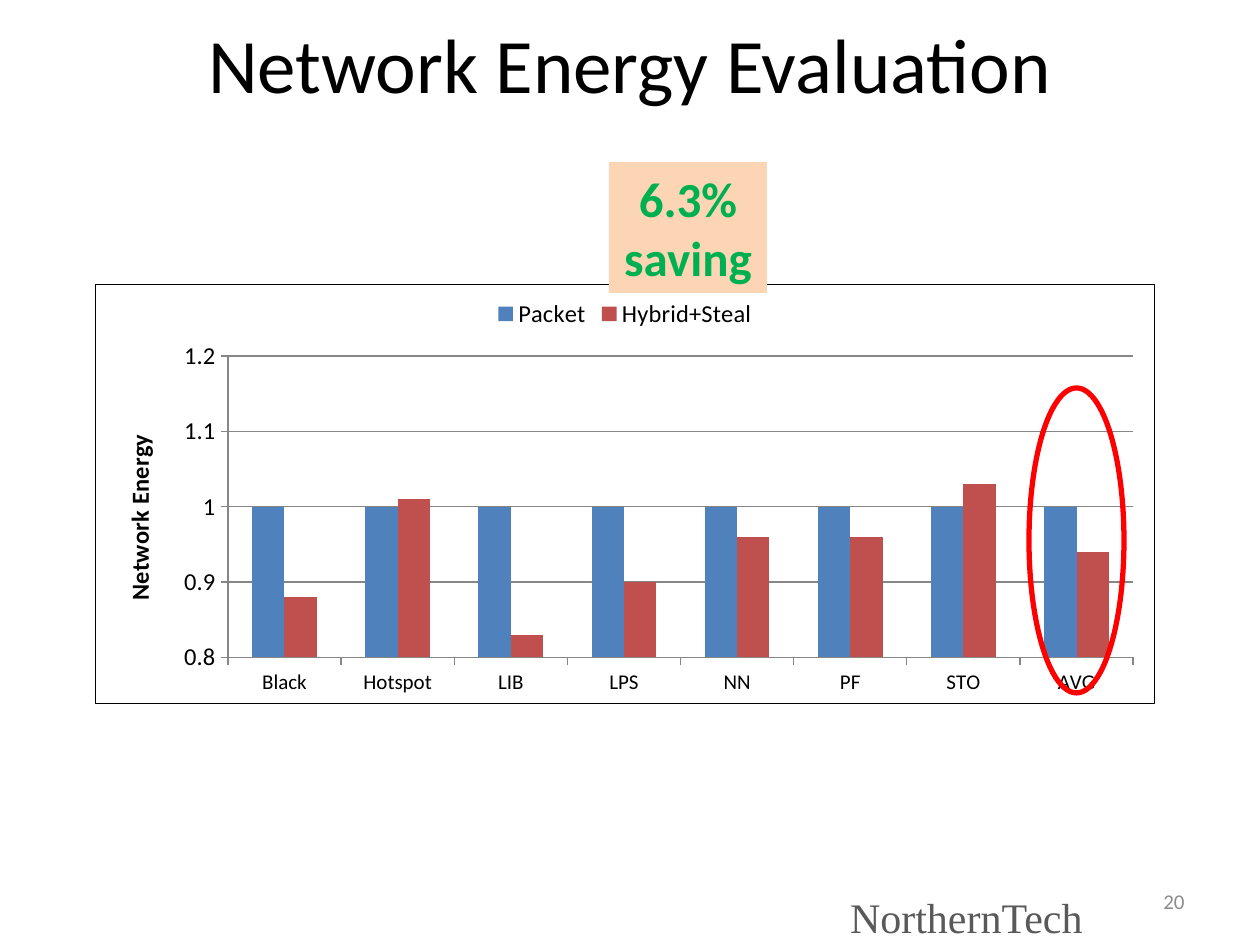
from typing import NamedTuple

from lxml import etree
from pptx import Presentation
from pptx import util as u
from pptx.chart.data import CategoryChartData
from pptx.dml.color import RGBColor
from pptx.enum import chart as charts, shapes, text
from pptx.oxml import parse_xml
from pptx.oxml.ns import nsdecls, qn

PIXEL = 914400 // 126
BODY_FONT = "Calibri"


class Box(NamedTuple):
    """A rectangle in pixels."""
    left: int
    top: int
    width: int
    height: int


class Series(NamedTuple):
    """One set of bars."""
    name: str
    values: tuple
    color: str


CATEGORIES = ("Black", "Hotspot", "LIB", "LPS", "NN", "PF", "STO", "AVG")
SERIES = (
    Series("Packet", (1,) * len(CATEGORIES), "4F81BD"),
    Series("Hybrid+Steal", (0.88, 1.01, 0.83, 0.9, 0.96, 0.96, 1.03, 0.94), "C0504D"),
)
CHART_BOX = Box(95, 284, 1060, 420)
PLOT_BOX = Box(227, 356, 906, 302)


def rgb(color: str) -> RGBColor:
    """Turn a hex string into a colour."""
    return RGBColor.from_string(color)


def emu(box: Box) -> list:
    """Convert a pixel box to EMU lengths."""
    return [u.Emu(value * PIXEL) for value in box]


def format_font(font, size=14, color="000000", name=BODY_FONT, bold=False) -> None:
    """Apply the font settings."""
    font.size, font.name, font.bold = u.Pt(size), name, bold
    font.color.rgb = rgb(color)


def write(shape, wording: str, align=text.PP_ALIGN.LEFT,
          anchor=text.MSO_ANCHOR.TOP, margin=None, **font) -> None:
    """Put formatted text in a shape."""
    frame = shape.text_frame
    frame.word_wrap = True
    frame.auto_size = text.MSO_AUTO_SIZE.NONE
    frame.vertical_anchor = anchor
    if margin is not None:
        frame.margin_left = frame.margin_right = margin
        frame.margin_top = frame.margin_bottom = margin
    paragraph = frame.paragraphs[0]
    paragraph.alignment = align
    run = paragraph.add_run()
    run.text = wording
    format_font(run.font, **font)


def add_text(slide, box: Box, wording: str, **style) -> None:
    """Add a text box."""
    write(slide.shapes.add_textbox(*emu(box)), wording, **style)


def add_preset(slide, kind, box: Box, fill=None, line=None, width=0):
    """Add a flat preset shape."""
    shape = slide.shapes.add_shape(kind, *emu(box))
    shape.shadow.inherit = False
    if fill:
        shape.fill.solid()
        shape.fill.fore_color.rgb = rgb(fill)
    else:
        shape.fill.background()
    if line:
        shape.line.color.rgb = rgb(line)
        shape.line.width = u.Pt(width)
    else:
        shape.line.fill.background()
    return shape


def frame_chart(chart) -> None:
    """Draw the chart border and place the plot inside it."""
    space = chart._chartSpace
    space.find(qn("c:chart")).addnext(parse_xml(
        f'<c:spPr {nsdecls("c", "a")}><a:solidFill><a:srgbClr val="FFFFFF"/></a:solidFill>'
        '<a:ln w="9525"><a:solidFill><a:srgbClr val="000000"/></a:solidFill></a:ln></c:spPr>'))
    plot_area = space.find(qn("c:chart")).find(qn("c:plotArea"))
    for old in plot_area.findall(qn("c:layout")):
        plot_area.remove(old)
    layout = etree.Element(qn("c:layout"))
    manual = etree.SubElement(layout, qn("c:manualLayout"))
    settings = {
        "layoutTarget": "inner", "xMode": "edge", "yMode": "edge",
        "x": (PLOT_BOX.left - CHART_BOX.left) / CHART_BOX.width,
        "y": (PLOT_BOX.top - CHART_BOX.top) / CHART_BOX.height,
        "w": PLOT_BOX.width / CHART_BOX.width,
        "h": PLOT_BOX.height / CHART_BOX.height,
    }
    for tag, value in settings.items():
        shown = value if isinstance(value, str) else f"{value:.3f}"
        etree.SubElement(manual, qn(f"c:{tag}")).set("val", shown)
    plot_area.insert(0, layout)


def add_energy_chart(slide) -> None:
    """Add the clustered column chart."""
    data = CategoryChartData(number_format="General")
    data.categories = CATEGORIES
    for series in SERIES:
        data.add_series(series.name, series.values)
    chart = slide.shapes.add_chart(
        charts.XL_CHART_TYPE.COLUMN_CLUSTERED, *emu(CHART_BOX), data).chart
    format_font(chart.font)
    chart.has_title = False
    chart.has_legend = True
    chart.legend.position = charts.XL_LEGEND_POSITION.TOP
    chart.legend.include_in_layout = False

    plot = chart.plots[0]
    plot.vary_by_categories = False
    plot.gap_width, plot.overlap = 150, 0
    for bars, series in zip(plot.series, SERIES):
        bars.format.fill.solid()
        bars.format.fill.fore_color.rgb = rgb(series.color)

    values = chart.value_axis
    values.minimum_scale, values.maximum_scale, values.major_unit = 0.8, 1.2, 0.1
    values.has_major_gridlines = True
    title = values.axis_title.text_frame
    title.text = "Network Energy"
    format_font(title.paragraphs[0].runs[0].font, bold=True)
    format_font(chart.category_axis.tick_labels.font, size=12)
    for part in (values, values.major_gridlines, chart.category_axis):
        part.format.line.color.rgb = rgb("868686")
        part.format.line.width = u.Pt(0.75)
    frame_chart(chart)


def build() -> None:
    """Build and save the slide."""
    presentation = Presentation()
    presentation.slide_width, presentation.slide_height = u.Inches(10), u.Inches(7.5)
    slide = presentation.slides.add_slide(presentation.slide_layouts[5])
    middle, center = text.MSO_ANCHOR.MIDDLE, text.PP_ALIGN.CENTER

    title = slide.shapes.title
    title.left, title.top, title.width, title.height = emu(Box(0, 21, 1260, 84))
    write(title, "Network Energy Evaluation", align=center, anchor=middle, size=44)

    add_energy_chart(slide)
    saving = add_preset(slide, shapes.MSO_SHAPE.RECTANGLE, Box(609, 162, 158, 131), fill="FCD5B5")
    write(saving, "6.3% saving", align=center, size=28, color="00B050", bold=True)
    add_preset(slide, shapes.MSO_SHAPE.OVAL, Box(1029, 388, 95, 305), line="FF0000", width=3)

    add_text(slide, Box(903, 876, 294, 50), "20", align=text.PP_ALIGN.RIGHT,
             anchor=middle, size=12, color="8C8C8C")
    add_text(slide, Box(850, 892, 284, 53), "NorthernTech", margin=0,
             size=24, color="595959", name="Times New Roman")
    presentation.save("out.pptx")


build()
